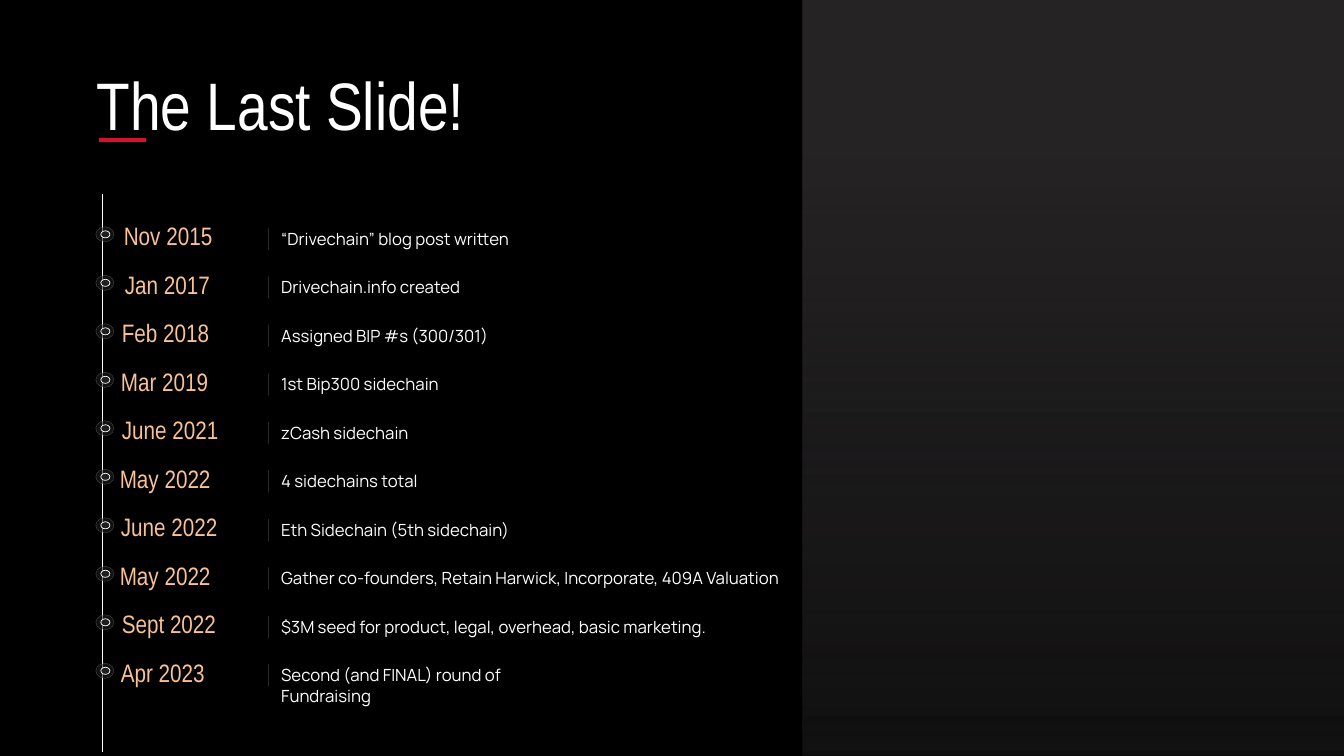
"""Build the closing timeline slide: dated milestones beside a shaded panel."""
from dataclasses import dataclass

from lxml import etree
from pptx import Presentation
from pptx.dml.color import RGBColor
from pptx.enum import shapes, text
from pptx.oxml import ns
from pptx.util import Inches, Pt


@dataclass(frozen=True)
class Theme:
    back: RGBColor = RGBColor(0x00, 0x00, 0x00)
    white: RGBColor = RGBColor(0xFF, 0xFF, 0xFF)
    accent: RGBColor = RGBColor(0xD0, 0x13, 0x30)
    panel: RGBColor = RGBColor(0x25, 0x23, 0x24)
    dot: RGBColor = RGBColor(0x20, 0x1E, 0x1E)
    date: RGBColor = RGBColor(0xF8, 0xC1, 0x96)
    heading_font: str = "Arial Narrow"
    body_font: str = "Manrope"
    title_size: int = 48
    date_size: int = 18
    body_size: int = 12


theme = Theme()


def add_text(s, words, box, font, size, color, align=text.PP_ALIGN.LEFT):
    tf = s.shapes.add_textbox(*map(Inches, box)).text_frame
    tf.word_wrap = True
    p = tf.paragraphs[0]
    p.text = words
    p.alignment = align
    r = p.runs[0]
    r.font.name = font
    r.font.size = Pt(size)
    r.font.color.rgb = color


def fade(shape, index, percent):
    color = shape._element.spPr.xpath(".//a:srgbClr")[index]
    etree.SubElement(color, ns.qn("a:alpha")).set("val", str(percent * 1000))


milestones = [
    ("Nov 2015", 1.13, 1.61, "“Drivechain” blog post written", 3.6),
    ("Jan 2017", 1.14, 1.59, "Drivechain.info created", 2.92),
    ("Feb 2018", 1.11, 1.64, "Assigned BIP #s (300/301)", 3.34),
    ("Mar 2019", 1.1, 1.71, "1st Bip300 sidechain", 2.57),
    ("June 2021", 1.11, 1.78, "zCash sidechain", 2.15),
    ("May 2022", 1.09, 1.74, "4 sidechains total", 2.3),
    ("June 2022", 1.1, 1.78, "Eth Sidechain (5th sidechain)", 3.68),
    ("May 2022", 1.09, 1.74,
     "Gather co-founders, Retain Harwick, Incorporate, 409A Valuation", 7.66),
    ("Sept 2022", 1.11, 1.76,
     "$3M seed for product, legal, overhead, basic marketing.", 6.7),
    ("Apr 2023", 1.1, 1.32, "Second (and FINAL) round of Fundraising", 3.29),
]
first_top, last_top = 2.25, 6.58
pitch = (last_top - first_top) / (len(milestones) - 1)
tops = [first_top + i * pitch for i in range(len(milestones))]

prs = Presentation()
prs.slide_width, prs.slide_height = Inches(13.33), Inches(7.5)
s = prs.slides.add_slide(prs.slide_layouts[6])
s.background.fill.solid()
s.background.fill.fore_color.rgb = theme.back

add_text(s, "The Last Slide!", (0.86, 0.58, 5.6, 0.91),
         theme.heading_font, theme.title_size, theme.white)

underline, panel = [
    s.shapes.add_shape(shapes.MSO_SHAPE.RECTANGLE, *map(Inches, box))
    for box in ((0.98, 1.37, 0.47, 0.04), (7.96, 0, 5.37, 7.5))
]
for block in (underline, panel):
    block.shadow.inherit = False
    block.line.fill.background()
underline.fill.solid()
underline.fill.fore_color.rgb = theme.accent
panel.fill.gradient()
panel.fill.gradient_angle = 270
for stop, position in zip(panel.fill.gradient_stops, (0.2, 1)):
    stop.position = position
    stop.color.rgb = theme.panel
fade(panel, 1, 46)

rules = [(1.02, 1.92, 7.46, 0.5, 100)]
rules += [(2.66, top + 0.23, top + 0.01, 0.25, 46) for top in tops]
for x, start, end, weight, opacity in rules:
    rule = s.shapes.add_connector(
        shapes.MSO_CONNECTOR.STRAIGHT,
        Inches(x), Inches(start), Inches(x), Inches(end))
    rule.line.color.rgb = theme.white
    rule.line.width = Pt(weight)
    if opacity < 100:
        fade(rule, 0, opacity)
    etree.SubElement(rule._element.spPr, ns.qn("a:effectLst"))

for top, (date, date_left, date_width, event, event_width) in zip(tops, milestones):
    halo, dot = [
        s.shapes.add_shape(shapes.MSO_SHAPE.OVAL, *map(Inches, box))
        for box in ((0.95, top, 0.18, 0.15), (1, top + 0.04, 0.09, 0.07))
    ]
    for oval, weight in ((halo, 0.25), (dot, 0.5)):
        oval.shadow.inherit = False
        oval.fill.solid()
        oval.fill.fore_color.rgb = theme.dot
        oval.line.color.rgb = theme.white
        oval.line.width = Pt(weight)
    fade(halo, 0, 58)
    fade(halo, 1, 28)
    add_text(s, date, (date_left, top - 0.11, date_width, 0.45),
             theme.heading_font, theme.date_size, theme.date, text.PP_ALIGN.JUSTIFY)
    add_text(s, event, (2.69, top - 0.03, event_width, 0.34),
             theme.body_font, theme.body_size, theme.white)

prs.save("out.pptx")
